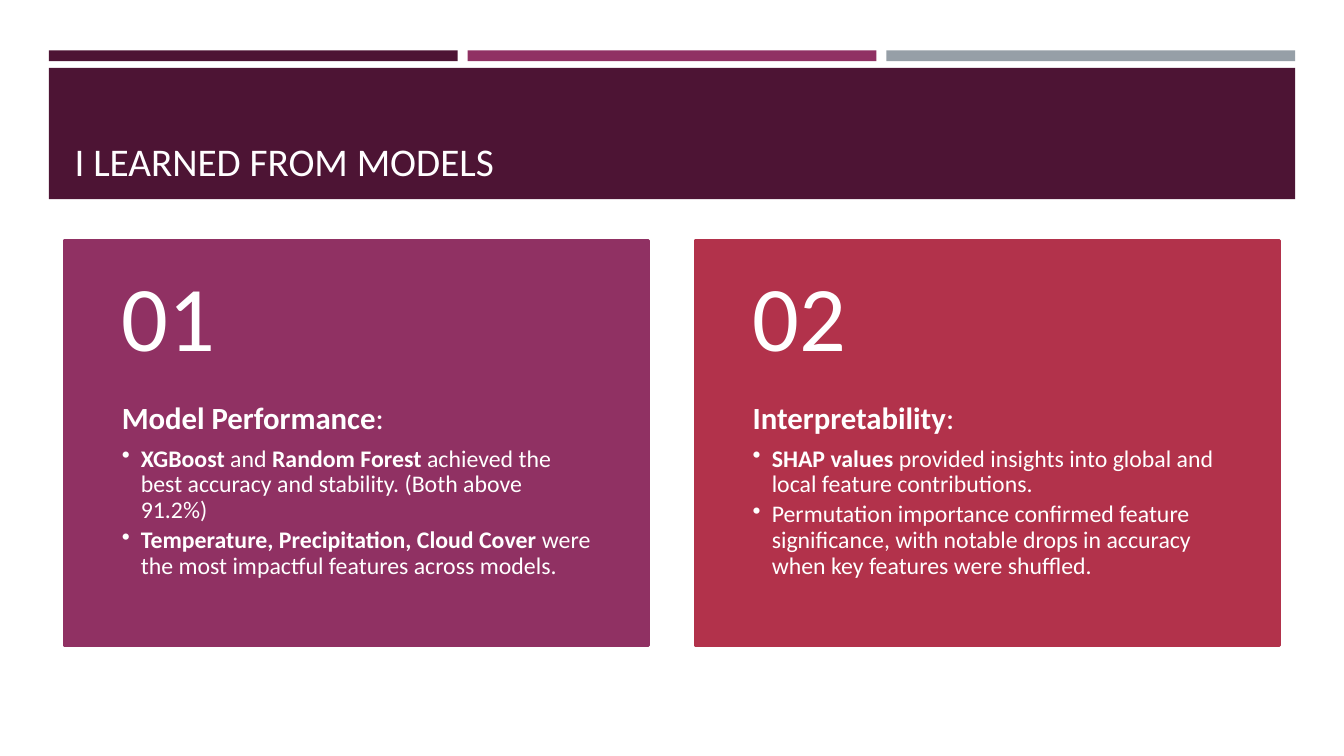
import pptx
import pptx.util
import pptx.dml.color
import pptx.enum.shapes
import pptx.enum.text
import pptx.oxml.ns
from lxml import etree

Cm = pptx.util.Cm
Pt = pptx.util.Pt
RGBColor = pptx.dml.color.RGBColor
Anchor = pptx.enum.text.MSO_ANCHOR

PLUM = RGBColor(0x4D, 0x14, 0x34)
MAGENTA = RGBColor(0x90, 0x31, 0x63)
GREY = RGBColor(0x96, 0x9F, 0xA7)
CRIMSON = RGBColor(0xB2, 0x32, 0x4B)
WHITE = RGBColor(0xFF, 0xFF, 0xFF)
TITLE_WHITE = RGBColor(0xFF, 0xFE, 0xFF)
FONT = "Calibri"

# Each point is a list of (text, bold) pieces
LESSONS = [
    ("01", "Model Performance", MAGENTA, [
        [("XGBoost", True), (" and ", False), ("Random Forest", True),
         (" achieved the best accuracy and stability. (Both above 91.2%)", False)],
        [("Temperature, Precipitation, Cloud Cover ", True),
         ("were the most impactful features across models.", False)],
    ]),
    ("02", "Interpretability", CRIMSON, [
        [("SHAP values", True),
         (" provided insights into global and local feature contributions.", False)],
        [("Permutation importance confirmed feature significance, with notable "
          "drops in accuracy when key features were shuffled.", False)],
    ]),
]


def add_block(slide, left, top, width, height, color, outlined=False):
    block = slide.shapes.add_shape(pptx.enum.shapes.MSO_SHAPE.RECTANGLE,
                                   Cm(left), Cm(top), Cm(width), Cm(height))
    block.shadow.inherit = False
    block.fill.solid()
    block.fill.fore_color.rgb = color
    if outlined:
        block.line.color.rgb = color
        block.line.width = Pt(1.75)
    else:
        block.line.fill.background()


def add_text_frame(slide, left, top, width, height, anchor, insets):
    frame = slide.shapes.add_textbox(Cm(left), Cm(top), Cm(width), Cm(height)).text_frame
    frame.word_wrap = True
    frame.vertical_anchor = anchor
    (frame.margin_left, frame.margin_top,
     frame.margin_right, frame.margin_bottom) = [Cm(inset) for inset in insets]
    return frame


def write(paragraph, pieces, size, color=WHITE, line_spacing=0.9, space_after=0):
    paragraph.font.name = FONT
    paragraph.font.size = Pt(size)
    paragraph.font.color.rgb = color
    paragraph.line_spacing = line_spacing
    paragraph.space_after = Pt(space_after)
    for text, bold in pieces:
        run = paragraph.add_run()
        run.text = text
        run.font.bold = bold


def add_bullet(paragraph, indent):
    properties = paragraph._p.get_or_add_pPr()
    properties.set("marL", str(Cm(indent)))
    properties.set("indent", str(-Cm(indent)))
    bullet = etree.Element(pptx.oxml.ns.qn("a:buChar"), char="•")
    # The bullet goes before the default run properties
    properties.find(pptx.oxml.ns.qn("a:defRPr")).addprevious(bullet)


def add_header(slide, left, top, width, height):
    # Three accent strips
    gap = 0.25
    strip_width = (width - 2 * gap) / 3
    for index, color in enumerate((PLUM, MAGENTA, GREY)):
        add_block(slide, left + index * (strip_width + gap), top, strip_width, 0.27, color)

    # Title band
    band_offset = 0.44
    add_block(slide, left, top + band_offset, width, height - band_offset, PLUM)
    title = add_text_frame(slide, left + 0.4, top + 0.69, width - 0.8, 2.82,
                           Anchor.BOTTOM, (0.25, 0.13, 0.25, 0.13))
    write(title.paragraphs[0], [("I LEARNED FROM MODELS", False)], 28,
          TITLE_WHITE, line_spacing=1.0)


def add_lesson_card(slide, left, top, width, height, lesson):
    number, heading, color, points = lesson
    add_block(slide, left, top, width, height, color, outlined=True)

    # Number in the upper two fifths, text below
    number_height = height * 0.4
    number_frame = add_text_frame(slide, left, top, width, number_height,
                                  Anchor.MIDDLE, (1.45, 0.46, 1.45, 0.46))
    write(number_frame.paragraphs[0], [(number, False)], 66)

    body = add_text_frame(slide, left, top + number_height, width, height - number_height,
                          Anchor.TOP, (1.45, 0, 1.45, 0.91))
    write(body.paragraphs[0], [(heading, True), (":", False)], 22, space_after=7.7)
    for point in points:
        paragraph = body.add_paragraph()
        write(paragraph, point, 17, space_after=3)
        add_bullet(paragraph, 0.48)


def main():
    presentation = pptx.Presentation()
    presentation.slide_width = Cm(33.87)
    presentation.slide_height = Cm(19.05)
    slide = presentation.slides.add_slide(presentation.slide_layouts[6])

    add_header(slide, 1.23, 1.27, 31.41, 3.75)
    card_width, card_gap = 14.73, 1.17
    for index, lesson in enumerate(LESSONS):
        add_lesson_card(slide, 1.62 + index * (card_width + card_gap), 6.06,
                        card_width, 10.21, lesson)

    presentation.save("out.pptx")


if __name__ == "__main__":
    main()
